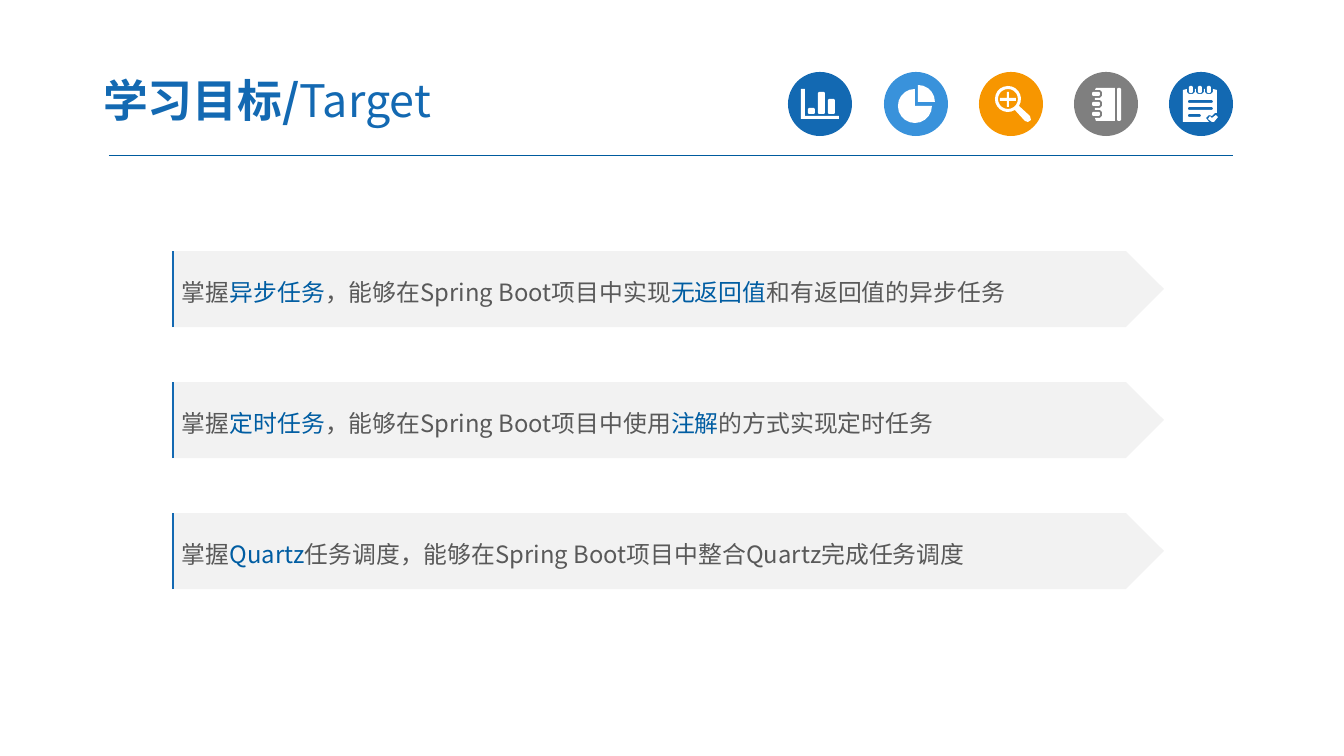
from math import cos, radians, sin

from lxml import etree
from pptx import Presentation
from pptx.dml.color import RGBColor
from pptx.enum.shapes import MSO_CONNECTOR, MSO_SHAPE
from pptx.enum.text import MSO_ANCHOR, MSO_AUTO_SIZE, PP_ALIGN
from pptx.oxml.ns import qn
from pptx.util import Emu, Pt

PX = 12192000 / 1344
FONT = "Noto Sans CJK SC"
BLUE = RGBColor(0x13, 0x69, 0xB2)
LIGHT_BLUE = RGBColor(0x39, 0x92, 0xDB)
ORANGE = RGBColor(0xF7, 0x96, 0x00)
GRAY = RGBColor(0x7F, 0x7F, 0x7F)
WHITE = RGBColor(0xFF, 0xFF, 0xFF)
RULE_BLUE = RGBColor(0x00, 0x5B, 0x9E)
KEYWORD_BLUE = RGBColor(0x00, 0x5D, 0xA2)
TEXT_GRAY = RGBColor(0x59, 0x59, 0x59)
BAND_GRAY = RGBColor(0xF2, 0xF2, 0xF2)

OVAL, PENTAGON, STRAIGHT = MSO_SHAPE.OVAL, MSO_SHAPE.PENTAGON, MSO_CONNECTOR.STRAIGHT
MIDDLE, LEFT, NO_AUTOFIT = MSO_ANCHOR.MIDDLE, PP_ALIGN.LEFT, MSO_AUTO_SIZE.NONE

presentation = Presentation()
presentation.slide_width, presentation.slide_height = Emu(12192000), Emu(6858000)
slide = presentation.slides.add_slide(presentation.slide_layouts[5])


def px(*lengths):
    return [Emu(round(length * PX)) for length in lengths]


def arc(x, y, radius, start, end):
    """Return points every 18 degrees or so, clockwise around (x, y)."""
    steps = round((end - start) / 18)
    angles = [radians(start + (end - start) * step / steps) for step in range(steps + 1)]
    return [(x + radius * cos(angle), y + radius * sin(angle)) for angle in angles]


# Header rule
rule = slide.shapes.add_connector(STRAIGHT, *px(109, 156, 1233, 156))
rule.line.color.rgb, rule.line.width = RULE_BLUE, Pt(0.75)
etree.SubElement(rule._element.spPr, qn("a:effectLst"))

# Icon outlines inside a 64 px disc; a tuple of four is a box with cut corners
chart_icon = [[(13, 17), (17, 17), (17, 44), (51, 44), (51, 47), (13, 47)],
              (20, 36, 7, 6), (30, 20, 7, 22), (40, 27, 7, 15)]
pie_icon = [arc(31, 34, 17, 0, 270) + [(31, 34)], arc(34, 30, 17, 270, 360) + [(34, 30)]]
handle = [(51, 44), (52, 48), (49, 50), (46, 49)]
plus = [(28, 20), (30, 20), (30, 26), (37, 26), (37, 29), (30, 29),
        (30, 35), (28, 35), (28, 29), (21, 29), (21, 26), (28, 26)]
magnifier_icon = [arc(29, 27, 13, 58, 392) + handle, arc(29, 27, 10, 0, 342), plus]

notebook_cover = [(41, 16), (41, 49), (22, 49)]
notebook_icon = [(43, 16, 4, 33)]
for y in (42, 32, 22):
    notebook_cover += [(21, y + 4), (26, y + 4), (28, y + 2),
                       (28, y - 2), (26, y - 4), (21, y - 4)]
    notebook_icon.append((18, y - 2, 8, 4))
notebook_icon.append(notebook_cover + [(22, 16)])

notepad_sheet = [(14, 18)]
notepad_icon = [(19, 28, 25, 3), (19, 35, 25, 3), (19, 42, 13, 3),
                [(49, 45), (45, 50), (43, 50), (39, 47), (41, 44), (43, 46), (47, 43)]]
for x in (22, 31, 40):
    notepad_sheet += [(x - 4, 17), (x - 4, 20), (x - 2, 22),
                      (x + 2, 22), (x + 4, 20), (x + 4, 17)]
    notepad_icon.append((x - 2, 14, 4, 7))
check_bite = [(48, 18), (48, 41), (46, 41), (43, 44), (40, 43), (37, 46), (40, 50), (14, 50)]
notepad_icon.append(notepad_sheet + check_bite)

icons = [(BLUE, chart_icon), (LIGHT_BLUE, pie_icon), (ORANGE, magnifier_icon),
         (GRAY, notebook_icon), (BLUE, notepad_icon)]
for index, (disc_color, outlines) in enumerate(icons):
    left, top = 788 + (381 * index + 3) // 4, 72
    icon = slide.shapes.add_group_shape()
    disc = icon.shapes.add_shape(OVAL, *px(left, top, 64, 64))
    builder = None
    for outline in outlines:
        if isinstance(outline, tuple):
            x, y, width, height = outline
            right, bottom = x + width, y + height
            outline = [(x + 1, y), (right - 1, y), (right, y + 1), (right, bottom - 1),
                       (right - 1, bottom), (x + 1, bottom), (x, bottom - 1), (x, y + 1)]
        points = [(10 * (left + x), 10 * (top + y)) for x, y in outline]
        if builder is None:
            builder = icon.shapes.build_freeform(*points[0], scale=PX / 10)
        else:
            builder.move_to(*points[0])
        builder.add_line_segments(points[1:])
    drawing = builder.convert_to_shape()
    for shape, color in ((disc, disc_color), (drawing, WHITE)):
        shape.shadow.inherit = False
        shape.fill.solid()
        shape.fill.fore_color.rgb = color
        shape.line.fill.background()

# Title
title = slide.shapes.title
title.left, title.top, title.width, title.height = px(90, 63, 526, 73)
title_frame = title.text_frame
title_frame.word_wrap, title_frame.auto_size = True, NO_AUTOFIT
title_frame.vertical_anchor = MIDDLE
title_frame.margin_left, title_frame.margin_right = px(13, 13)
title_frame.margin_top, title_frame.margin_bottom = px(7, 7)
title_paragraph = title_frame.paragraphs[0]
title_paragraph.alignment, title_paragraph.line_spacing = LEFT, 1.0
title_paragraph.space_before = Pt(0)
texts = [(title_paragraph, 32, [("学习目标/", BLUE, True), ("Target", BLUE, False)])]

# Goal bands; words at odd places are keywords
goals = [
    ["掌握", "异步任务", "，能够在Spring Boot项目中实现", "无返回值", "和有返回值的异步任务"],
    ["掌握", "定时任务", "，能够在Spring Boot项目中使用", "注解", "的方式实现定时任务"],
    ["掌握", "Quartz", "任务调度，能够在Spring Boot项目中整合Quartz完成任务调度"],
]
for index, goal in enumerate(goals):
    top = 251 + 131 * index
    group = slide.shapes.add_group_shape()
    band = group.shapes.add_shape(PENTAGON, *px(172, top, 992, 76))
    band.shadow.inherit = False
    band.fill.solid()
    band.fill.fore_color.rgb = BAND_GRAY
    band.line.fill.background()
    band.text_frame.word_wrap = True
    band.text_frame.vertical_anchor = MIDDLE
    paragraph = band.text_frame.paragraphs[0]
    paragraph.alignment, paragraph.line_spacing = LEFT, 1.2
    colors = (TEXT_GRAY, KEYWORD_BLUE)
    pieces = [(text, colors[place % 2], False) for place, text in enumerate(goal)]
    texts.append((paragraph, 17, pieces))

    builder = group.shapes.build_freeform(173, top + 76, scale=PX)
    builder.add_line_segments([(173, top)], close=False)
    builder.move_to(186, top)
    edge = builder.convert_to_shape()
    edge.shadow.inherit = False
    edge.fill.background()
    edge.line.color.rgb, edge.line.width = BLUE, Pt(1.5)

for paragraph, size, pieces in texts:
    for text, color, bold in pieces:
        run = paragraph.add_run()
        run.text = text
        run.font.size, run.font.bold, run.font.name = Pt(size), bold, FONT
        run.font.color.rgb = color
        etree.SubElement(run.font._element, qn("a:ea"), typeface=FONT)

presentation.save("out.pptx")
